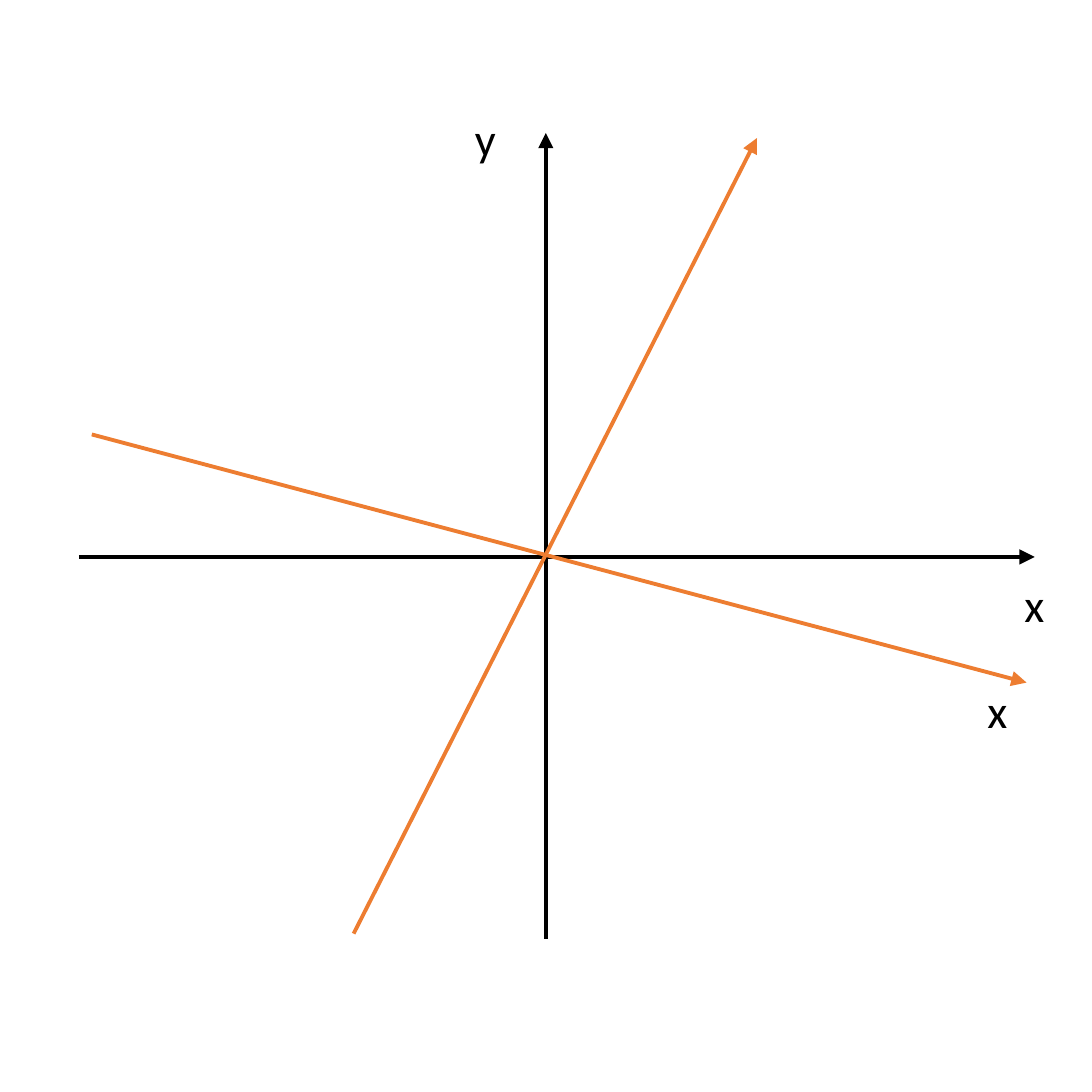
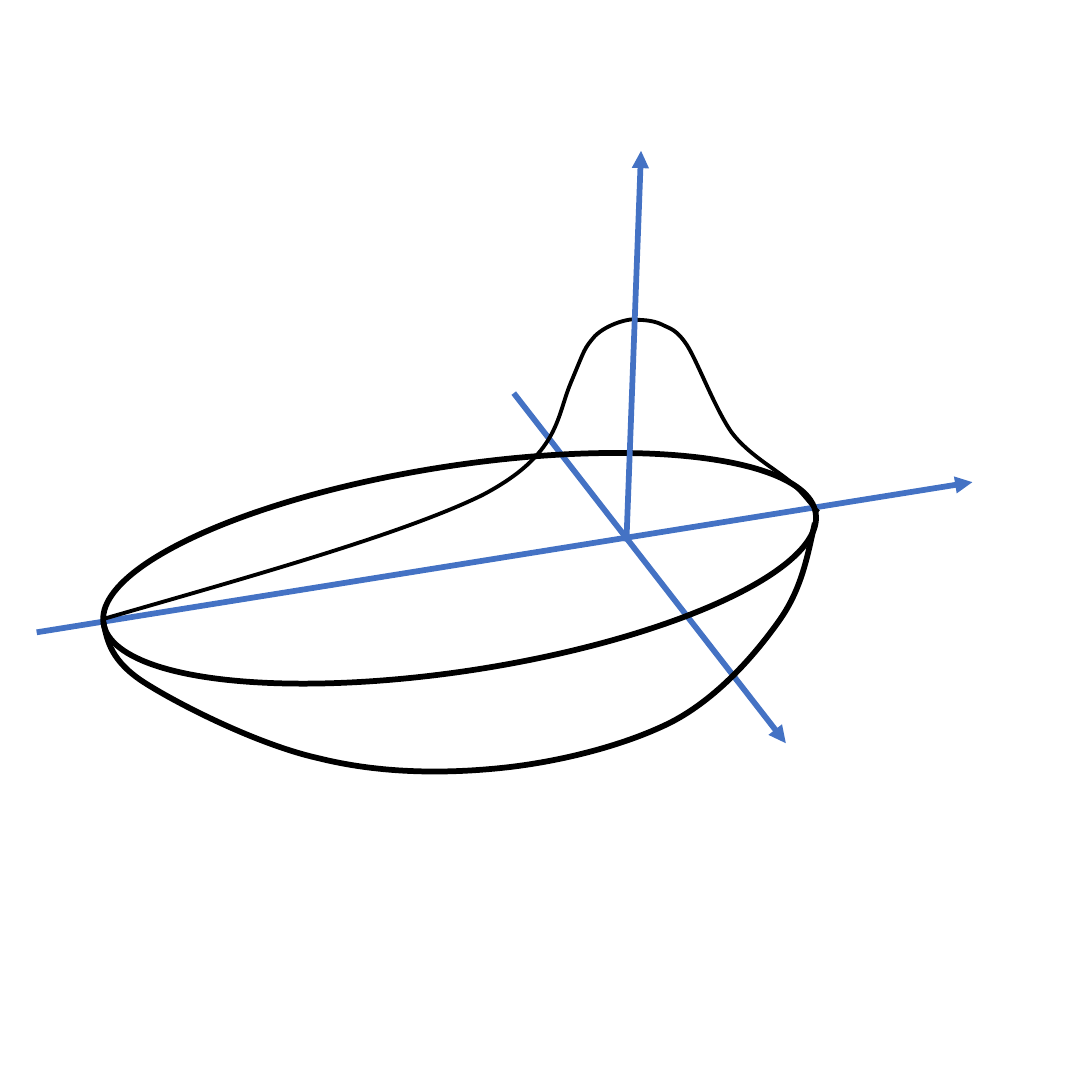
from dataclasses import dataclass

import lxml.etree
import pptx
import pptx.dml.color
import pptx.enum.shapes
import pptx.enum.text
import pptx.oxml.ns
import pptx.shapes.base
import pptx.slide
import pptx.util

Pt = pptx.util.Pt
RGBColor = pptx.dml.color.RGBColor
Point = tuple[float, float]

BLACK = RGBColor(0x00, 0x00, 0x00)
ORANGE = RGBColor(0xED, 0x7D, 0x31)
BLUE = RGBColor(0x44, 0x72, 0xC4)

SLIDE_SIDE = 425.5
BLANK_LAYOUT = 6
THIN, THICK = 1.5, 2.25
FONT_NAME, FONT_SIZE = "Calibri", 18
LABEL_WIDTH, LABEL_HEIGHT = 22.5, 28.8


@dataclass(frozen=True)
class Arrow:
    start: Point
    end: Point
    color: RGBColor
    width: float


@dataclass(frozen=True)
class Label:
    text: str
    left: float
    top: float


@dataclass(frozen=True)
class Curve:
    """A chain of cubic Bezier curves: a start, then two controls and an end for each."""
    points: tuple[Point, ...]
    width: float


PLANE_AXES = (
    Arrow((212.7, 365.8), (212.7, 51.8), BLACK, THIN),
    Arrow((30.7, 217), (403.2, 217), BLACK, THIN),
)
PLANE_AXIS_LABELS = (Label("x", 392.1, 221), Label("y", 178, 39.6))
ROTATED_AXES = (
    Arrow((137.8, 363.8), (295, 53.8), ORANGE, THIN),
    Arrow((35.8, 169.3), (400, 266), ORANGE, THIN),
)
ROTATED_AXIS_LABEL = Label("x", 377.7, 262.4)

FLOOR_AXES = (
    Arrow((200.2, 153.2), (306.2, 289.6), BLUE, THICK),
    Arrow((14.3, 246.4), (378.9, 187.9), BLUE, THICK),
)
VERTICAL_AXIS = Arrow((244.1, 211), (249.8, 58.8), BLUE, THICK)
LOWER_EDGE = Curve((
    (40.3, 242.6),
    (41.8, 249.8), (43.2, 257.8), (56.9, 266.4),
    (70.6, 275), (100.8, 290.2), (123.8, 295.4),
    (146.2, 301), (169.9, 301.7), (193, 299.5),
    (216, 297.4), (242.6, 290.9), (261.4, 281.5),
    (279.4, 272.2), (293.8, 255.6), (303.1, 242.6),
    (312.5, 229.7), (314.6, 216.7), (317.5, 203.8),
), THICK)
LEFT_SLOPE = Curve((
    (40.3, 241.2),
    (97.9, 224.6), (157, 208.1), (187.9, 193),
    (218.2, 177.1), (216.7, 162.7), (222.5, 149),
    (228.2, 135.4), (227.5, 136.1), (231.8, 131),
    (236.9, 126), (246.2, 123.8), (248.4, 124.6),
), THIN)
RIGHT_SLOPE = Curve((
    (247, 124.6),
    (249.1, 124.6), (254.2, 124.6), (257.8, 126.4),
    (261.4, 128.2), (263.5, 128.2), (267.8, 134.6),
    (272.2, 141.8), (278.6, 159.1), (285.1, 168.5),
    (291.6, 177.1), (302.4, 182.9), (308.2, 187.9),
    (313.9, 193), (316.8, 198), (319, 199.4),
), THIN)


def add_arrow(slide: pptx.slide.Slide, arrow: Arrow) -> None:
    connector = slide.shapes.add_connector(
        pptx.enum.shapes.MSO_CONNECTOR.STRAIGHT,
        *(Pt(value) for value in arrow.start + arrow.end))
    connector.line.color.rgb = arrow.color
    connector.line.width = Pt(arrow.width)
    properties = connector.element.spPr
    outline = properties.find(pptx.oxml.ns.qn("a:ln"))
    lxml.etree.SubElement(outline, pptx.oxml.ns.qn("a:tailEnd"), type="triangle")
    lxml.etree.SubElement(properties, pptx.oxml.ns.qn("a:effectLst"))


def add_label(slide: pptx.slide.Slide, label: Label) -> None:
    box = slide.shapes.add_textbox(
        Pt(label.left), Pt(label.top), Pt(LABEL_WIDTH), Pt(LABEL_HEIGHT))
    box.text_frame.word_wrap = False
    box.text_frame.auto_size = pptx.enum.text.MSO_AUTO_SIZE.SHAPE_TO_FIT_TEXT
    run = box.text_frame.paragraphs[0].add_run()
    run.text = label.text
    run.font.name = FONT_NAME
    run.font.size = Pt(FONT_SIZE)
    run.font.color.rgb = BLACK


def style_outline(shape: pptx.shapes.base.BaseShape, width: float) -> None:
    shape.shadow.inherit = False
    shape.fill.background()
    shape.line.color.rgb = BLACK
    shape.line.width = Pt(width)


def bend_segments(shape: pptx.shapes.base.BaseShape) -> None:
    """Merge every three straight segments into one cubic Bezier curve."""
    outline = next(shape.element.iter(pptx.oxml.ns.qn("a:path")))
    segments = outline.findall(pptx.oxml.ns.qn("a:lnTo"))
    for first in range(0, len(segments), 3):
        bezier = lxml.etree.SubElement(outline, pptx.oxml.ns.qn("a:cubicBezTo"))
        for segment in segments[first:first + 3]:
            bezier.append(segment[0])
            outline.remove(segment)


def add_curve(slide: pptx.slide.Slide, curve: Curve) -> None:
    start, *others = [(Pt(x), Pt(y)) for x, y in curve.points]
    builder = slide.shapes.build_freeform(*start)
    builder.add_line_segments(others, close=False)
    shape = builder.convert_to_shape()
    bend_segments(shape)
    style_outline(shape, curve.width)


def add_rim(slide: pptx.slide.Slide) -> None:
    rim = slide.shapes.add_shape(
        pptx.enum.shapes.MSO_SHAPE.OVAL, Pt(38.7), Pt(181.5), Pt(280.8), Pt(79.9))
    rim.rotation = 351.2
    style_outline(rim, THICK)


def build_rotated_axes(slide: pptx.slide.Slide) -> None:
    for arrow in PLANE_AXES:
        add_arrow(slide, arrow)
    for label in PLANE_AXIS_LABELS:
        add_label(slide, label)
    for arrow in ROTATED_AXES:
        add_arrow(slide, arrow)
    add_label(slide, ROTATED_AXIS_LABEL)


def build_bell_surface(slide: pptx.slide.Slide) -> None:
    for arrow in FLOOR_AXES:
        add_arrow(slide, arrow)
    add_rim(slide)
    for curve in (LOWER_EDGE, LEFT_SLOPE, RIGHT_SLOPE):
        add_curve(slide, curve)
    add_arrow(slide, VERTICAL_AXIS)


def main() -> None:
    presentation = pptx.Presentation()
    presentation.slide_width = presentation.slide_height = Pt(SLIDE_SIDE)
    layout = presentation.slide_layouts[BLANK_LAYOUT]
    for build in (build_rotated_axes, build_bell_surface):
        build(presentation.slides.add_slide(layout))
    presentation.save("out.pptx")


if __name__ == "__main__":
    main()
